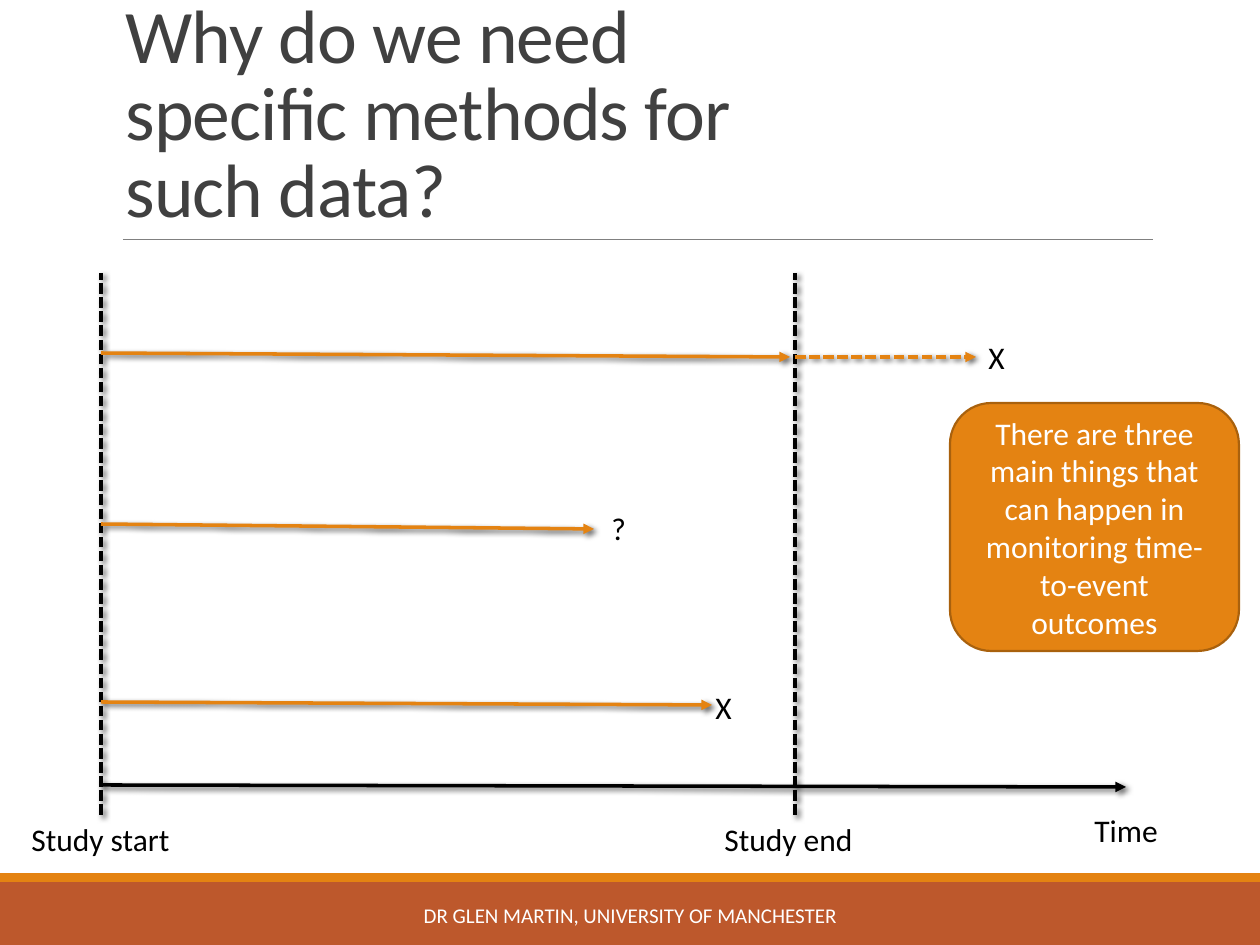
import pptx
import pptx.util
import pptx.dml.color
import pptx.enum.dml
import pptx.enum.shapes
import pptx.enum.text
import pptx.oxml
import pptx.oxml.ns

SCALE = 914400 / 126  # EMU per px
FONT = "Calibri"
ORANGE, RUST, BLACK, WHITE = "E48312", "BD582C", "000000", "FFFFFF"
NS = pptx.oxml.ns.nsdecls("a")
SHADOW = (
    f'<a:effectLst {NS}><a:outerShdw blurRad="38100" dist="25400" dir="2700000" '
    f'algn="tl" rotWithShape="0"><a:srgbClr val="{BLACK}"><a:alpha val="60000"/>'
    "</a:srgbClr></a:outerShdw></a:effectLst>"
)
hue = pptx.dml.color.RGBColor.from_string
kinds = pptx.enum.shapes.MSO_SHAPE
anchor = pptx.enum.text.MSO_ANCHOR
align = pptx.enum.text.PP_ALIGN


def emu(*nums):
    return [pptx.util.Emu(round(n * SCALE)) for n in nums]


def write(shape, text, size, color, side=align.LEFT, place=anchor.TOP, wrap=True):
    frame = shape.text_frame
    frame.word_wrap = wrap
    frame.vertical_anchor = place
    para = frame.paragraphs[0]
    para.alignment = side
    run = para.add_run()
    run.text = text
    run.font.size = pptx.util.Pt(size)
    run.font.name = FONT
    run.font.color.rgb = hue(color)
    return para


deck = pptx.Presentation()
deck.slide_width, deck.slide_height = emu(1260, 945)
slide = deck.slides.add_slide(deck.slide_layouts[6])
shapes = slide.shapes

# Footer bars
for top, high, color in [(882, 63, RUST), (873, 9, ORANGE)]:
    bar = shapes.add_shape(kinds.RECTANGLE, *emu(0, top, 1260, high))
    bar.shadow.inherit = False
    bar.fill.solid()
    bar.fill.fore_color.rgb = hue(color)
    bar.line.fill.background()

# Title and footer text
title = shapes.add_textbox(*emu(113, 39, 766, 200))
para = write(title, "Why do we need specific methods for such data?",
             43.2, "404040", place=anchor.BOTTOM)
para.line_spacing = 0.85
para.runs[0].font._element.set("spc", "-50")
foot = shapes.add_textbox(*emu(381, 890, 499, 50))
write(foot, "DR GLEN MARTIN, UNIVERSITY OF MANCHESTER", 12, WHITE,
      align.CENTER, anchor.MIDDLE)

# Lines: start, end, colour, width, dashed, arrow, shadow
START, END = 101, 795
lines = [
    (123, 239, 1153, 239, "808080", 0.5, False, False, False),  # title rule
    (START, 785, 1126, 787, BLACK, 2, False, True, True),  # time axis
    (START, 815, START, 273, BLACK, 2, True, False, True),  # study start
    (END, 815, END, 273, BLACK, 2, True, False, True),  # study end
    (START, 353, 790, 357, ORANGE, 2, False, True, True),  # outlasts study
    (END, 357, 976, 357, ORANGE, 2, True, True, True),  # later event
    (START, 524, 594, 529, ORANGE, 2, False, True, True),  # lost
    (START, 702, 712, 705, ORANGE, 2, False, True, True),  # event in study
]
for x1, y1, x2, y2, color, width, dashed, arrow, shade in lines:
    line = shapes.add_connector(
        pptx.enum.shapes.MSO_CONNECTOR.STRAIGHT, *emu(x1, y1, x2, y2))
    line.line.color.rgb = hue(color)
    line.line.width = pptx.util.Pt(width)
    if dashed:
        line.line.dash_style = pptx.enum.dml.MSO_LINE.SQUARE_DOT
    props = line._element.spPr
    if arrow:
        stroke = props.find(pptx.oxml.ns.qn("a:ln"))
        stroke.append(pptx.oxml.parse_xml(f'<a:tailEnd {NS} type="triangle"/>'))
    props.append(pptx.oxml.parse_xml(SHADOW if shade else f"<a:effectLst {NS}/>"))

# Labels
labels = [
    ("Time", 1082, 805, 89),
    ("Study start", 19, 814, 165),
    ("Study end", 712, 814, 155),
    ("X", 976, 332, 42),
    ("X", 703, 682, 42),
    ("?", 599, 503, 40),
]
for text, left, top, wide in labels:
    label = shapes.add_textbox(*emu(left, top, wide, 50))
    write(label, text, 18, BLACK, wrap=False)

# Callout
note = shapes.add_shape(kinds.ROUNDED_RECTANGLE, *emu(950, 403, 289, 248))
note.shadow.inherit = False
note.fill.solid()
note.fill.fore_color.rgb = hue(ORANGE)
note.line.color.rgb = hue("A9610D")
note.line.width = pptx.util.Pt(1.25)
write(note, "There are three main things that can happen in monitoring "
      "time-to-event outcomes", 18, WHITE, align.CENTER, anchor.MIDDLE)

deck.save("out.pptx")
